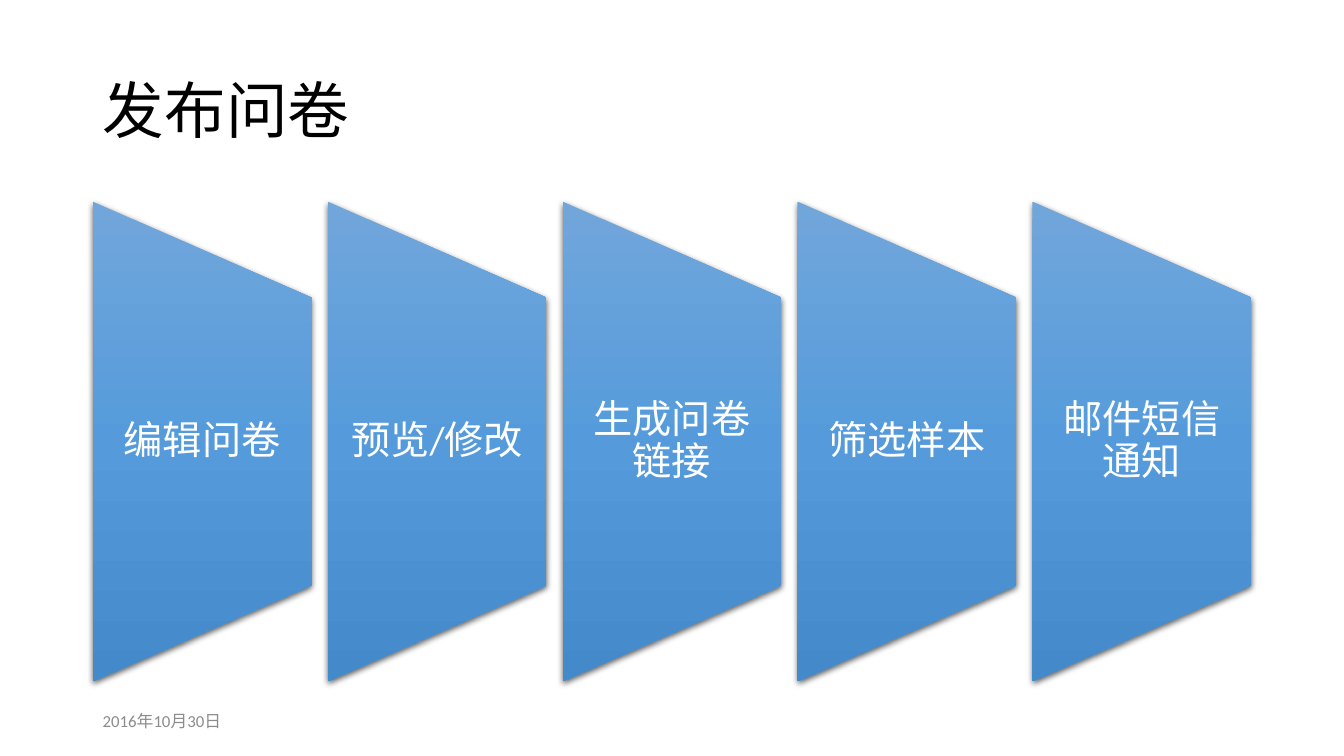
from lxml import etree
from pptx import Presentation, util as u
from pptx.dml.color import RGBColor
from pptx.enum import shapes, text
from pptx.oxml import parse_xml
from pptx.oxml.ns import nsdecls, qn

STEPS = ["编辑问卷", "预览/修改", "生成问卷链接", "筛选样本", "邮件短信通知"]
GRADIENT = {0: "71A6DB", 50: "559BDB", 100: "448ACA"}
LEFT, TOP, PITCH = 0.92, 2, 2.33
STEP_WIDTH, STEP_HEIGHT = 2.17, 4.76


def rgb(value):
    return RGBColor.from_string(value)


class ProcessSlide:
    font = "Calibri"

    def __init__(self, deck):
        self.slide = deck.slides.add_slide(deck.slide_layouts[5])

    def set_text(self, frame, wording, size, color, align=text.PP_ALIGN.LEFT,
                 spacing=0.9, margins=(0.1, 0.05)):
        frame.text = wording
        frame.word_wrap = True
        frame.auto_size = text.MSO_AUTO_SIZE.NONE
        frame.vertical_anchor = text.MSO_ANCHOR.MIDDLE
        frame.margin_left = frame.margin_right = u.Inches(margins[0])
        frame.margin_top = frame.margin_bottom = u.Inches(margins[1])
        paragraph = frame.paragraphs[0]
        paragraph.alignment = align
        paragraph.line_spacing = spacing
        font = paragraph.runs[0].font
        font.name, font.size, font.color.rgb = self.font, u.Pt(size), rgb(color)

    def title(self, wording, *box):
        heading = self.slide.shapes.title
        heading.left, heading.top, heading.width, heading.height = map(u.Inches, box)
        self.set_text(heading.text_frame, wording, 44, "000000")

    def label(self, wording, box, size, color, **style):
        caption = self.slide.shapes.add_textbox(*map(u.Inches, box))
        self.set_text(caption.text_frame, wording, size, color, **style)

    def panel(self, left, top, width, height):
        # The preset lies on its side, so its unrotated box swaps the two sides
        shift = (height - width) / 2
        panel = self.slide.shapes.add_shape(
            shapes.MSO_SHAPE.FLOWCHART_MANUAL_OPERATION,
            *map(u.Inches, (left - shift, top + shift, height, width)))
        panel.rotation = 270
        panel.line.fill.background()
        props = panel._element.spPr

        # Gradient that stays vertical on the slide
        stops = "".join(
            f'<a:gs pos="{pos * 1000}"><a:srgbClr val="{color}"/></a:gs>'
            for pos, color in GRADIENT.items())
        props.find(qn("a:prstGeom")).addnext(parse_xml(
            f'<a:gradFill {nsdecls("a")} rotWithShape="0"><a:gsLst>{stops}</a:gsLst>'
            '<a:lin ang="5400000" scaled="0"/></a:gradFill>'))

        # Soft shadow below
        effects = etree.SubElement(props, qn("a:effectLst"))
        shadow = etree.SubElement(
            effects, qn("a:outerShdw"), blurRad=str(u.Pt(4.5)), dist=str(u.Pt(1.5)),
            dir="5400000", algn="ctr", rotWithShape="0")
        shade = etree.SubElement(shadow, qn("a:srgbClr"), val="000000")
        etree.SubElement(shade, qn("a:alpha"), val="63000")

    def step(self, wording, left):
        self.panel(left, TOP, STEP_WIDTH, STEP_HEIGHT)
        inset = STEP_HEIGHT / 5
        self.label(wording, (left, TOP + inset, STEP_WIDTH, STEP_HEIGHT - 2 * inset),
                   28, "FFFFFF", align=text.PP_ALIGN.CENTER, margins=(0.19, 0))


def main():
    deck = Presentation()
    deck.slide_width, deck.slide_height = u.Inches(13.33), u.Inches(7.5)
    page = ProcessSlide(deck)

    # Heading
    page.title("发布问卷", LEFT, 0.4, 11.5, 1.45)

    # Five publishing steps
    for index, wording in enumerate(STEPS):
        page.step(wording, LEFT + index * PITCH)

    # Date
    page.label("2016年10月30日", (LEFT, 6.95, 3, 0.4), 12, "8C8C8C", spacing=1.0)

    deck.save("out.pptx")


if __name__ == "__main__":
    main()
